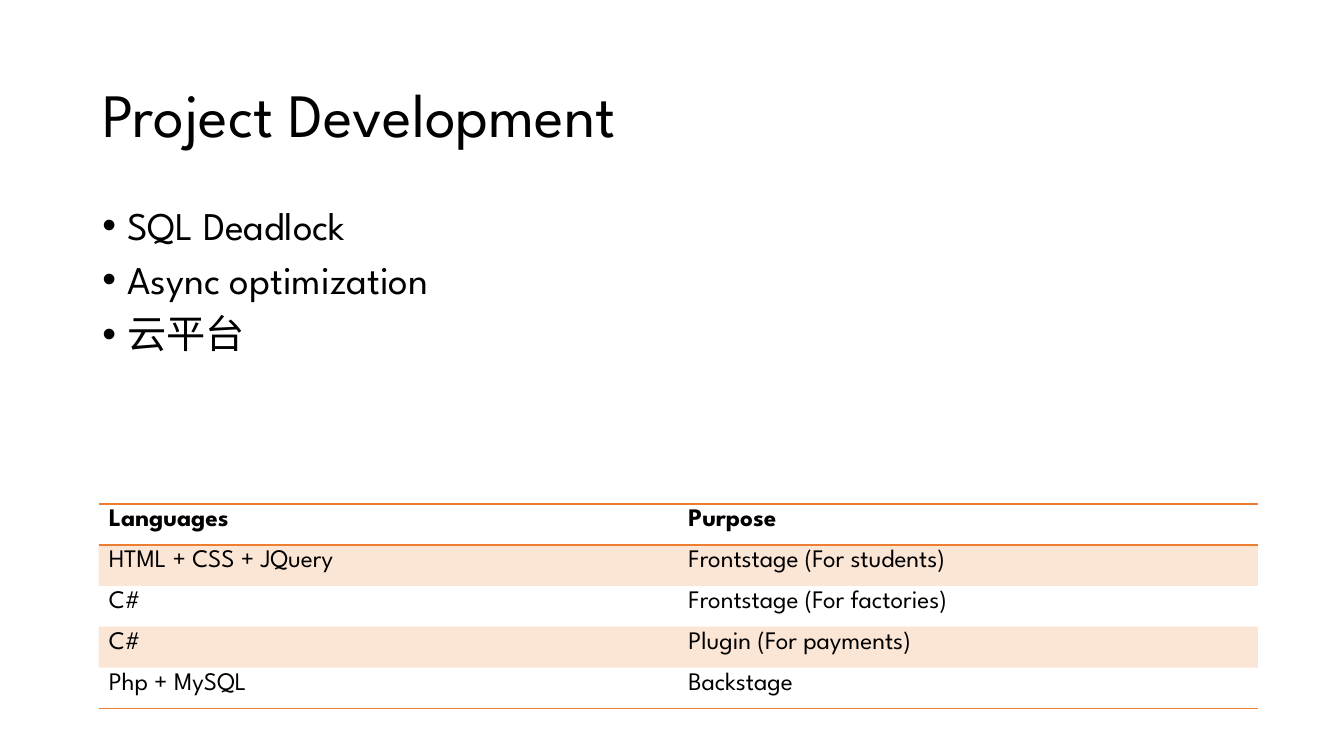
from lxml import etree
from pptx import Presentation
from pptx import util as u
from pptx.dml.color import RGBColor
from pptx.enum import text
from pptx.oxml import ns

PX = 9525
FACE = "League Spartan"
HAN = "Noto Sans CJK SC"
BLACK = RGBColor(0x00, 0x00, 0x00)
ORANGE = RGBColor(0xED, 0x7D, 0x31)
PLAIN = "{2D5ABB26-0587-4C30-8999-92F81FD0307C}"

POINTS = ["SQL Deadlock", "Async optimization", "云平台"]
ROWS = [
    ("Languages", "Purpose"),
    ("HTML + CSS + JQuery", "Frontstage (For students)"),
    ("C#", "Frontstage (For factories)"),
    ("C#", "Plugin (For payments)"),
    ("Php + MySQL", "Backstage"),
]


def px(*sizes):
    return [u.Emu(size * PX) for size in sizes]


def child(node, tag, **attrs):
    return etree.SubElement(node, ns.qn(tag), **attrs)


def style(para, size, bold=False, face=FACE):
    font = para.font
    font.name, font.size, font.bold = face, u.Pt(size), bold
    font.color.rgb = BLACK


def add_title(slide, words, box):
    title = slide.shapes.title
    title.left, title.top, title.width, title.height = px(*box)
    frame = title.text_frame
    frame.text = words
    frame.vertical_anchor = text.MSO_ANCHOR.MIDDLE
    para = frame.paragraphs[0]
    para.alignment = text.PP_ALIGN.LEFT
    style(para, 44)


def add_list(slide, points, box):
    frame = slide.shapes.add_textbox(*px(*box)).text_frame
    frame.word_wrap = True
    for i, point in enumerate(points):
        para = frame.paragraphs[0] if i == 0 else frame.add_paragraph()
        para.text = point
        para.line_spacing = 0.9
        props = para._p.get_or_add_pPr()
        props.set("marL", str(24 * PX))
        props.set("indent", str(-24 * PX))
        if i:
            child(child(props, "a:spcBef"), "a:spcPct", val="30000")
        child(props, "a:buFont", typeface="Arial")
        child(props, "a:buChar", char="•")
        style(para, 28, face=FACE if point.isascii() else HAN)
        child(props.find(ns.qn("a:defRPr")), "a:ea", typeface=HAN)


def tint(cell, alpha):
    """Fill the cell with see-through orange; alpha is a percentage."""
    cell.fill.solid()
    cell.fill.fore_color.rgb = ORANGE
    color = cell._tc.tcPr.find(".//" + ns.qn("a:srgbClr"))
    child(color, "a:alpha", val=str(alpha * 1000))


def rule(cell, *sides):
    """Draw orange borders on the given sides, in the order T, B."""
    props = cell._tc.get_or_add_tcPr()
    for i, side in enumerate(sides):
        line = etree.Element(ns.qn("a:ln" + side), w=str(u.Pt(1)))
        child(child(line, "a:solidFill"), "a:srgbClr", val=str(ORANGE))
        props.insert(i, line)


def add_table(slide, rows, box, high):
    left, top, width = box
    frame = slide.shapes.add_table(
        len(rows), len(rows[0]), *px(left, top, width, high * len(rows)))
    table = frame.table
    table.first_row = table.horz_banding = False
    table._tbl.tblPr.find(ns.qn("a:tableStyleId")).text = PLAIN
    for r, row in enumerate(rows):
        table.rows[r].height = px(high)[0]
        for c, words in enumerate(row):
            cell = table.cell(r, c)
            cell.text = words
            style(cell.text_frame.paragraphs[0], 18, bold=r == 0)
            if r % 2:
                tint(cell, 20)
            else:
                cell.fill.background()
            if r == 0:
                rule(cell, "T", "B")
            elif r == len(rows) - 1:
                rule(cell, "B")


def main():
    deck = Presentation()
    deck.slide_width, deck.slide_height = px(1280, 720)
    slide = deck.slides.add_slide(deck.slide_layouts[5])
    add_title(slide, "Project Development", (88, 38, 1104, 139))
    add_table(slide, ROWS, (94, 480, 1104), 39)
    add_list(slide, POINTS, (88, 192, 1104, 263))
    deck.save("out.pptx")


if __name__ == "__main__":
    main()
